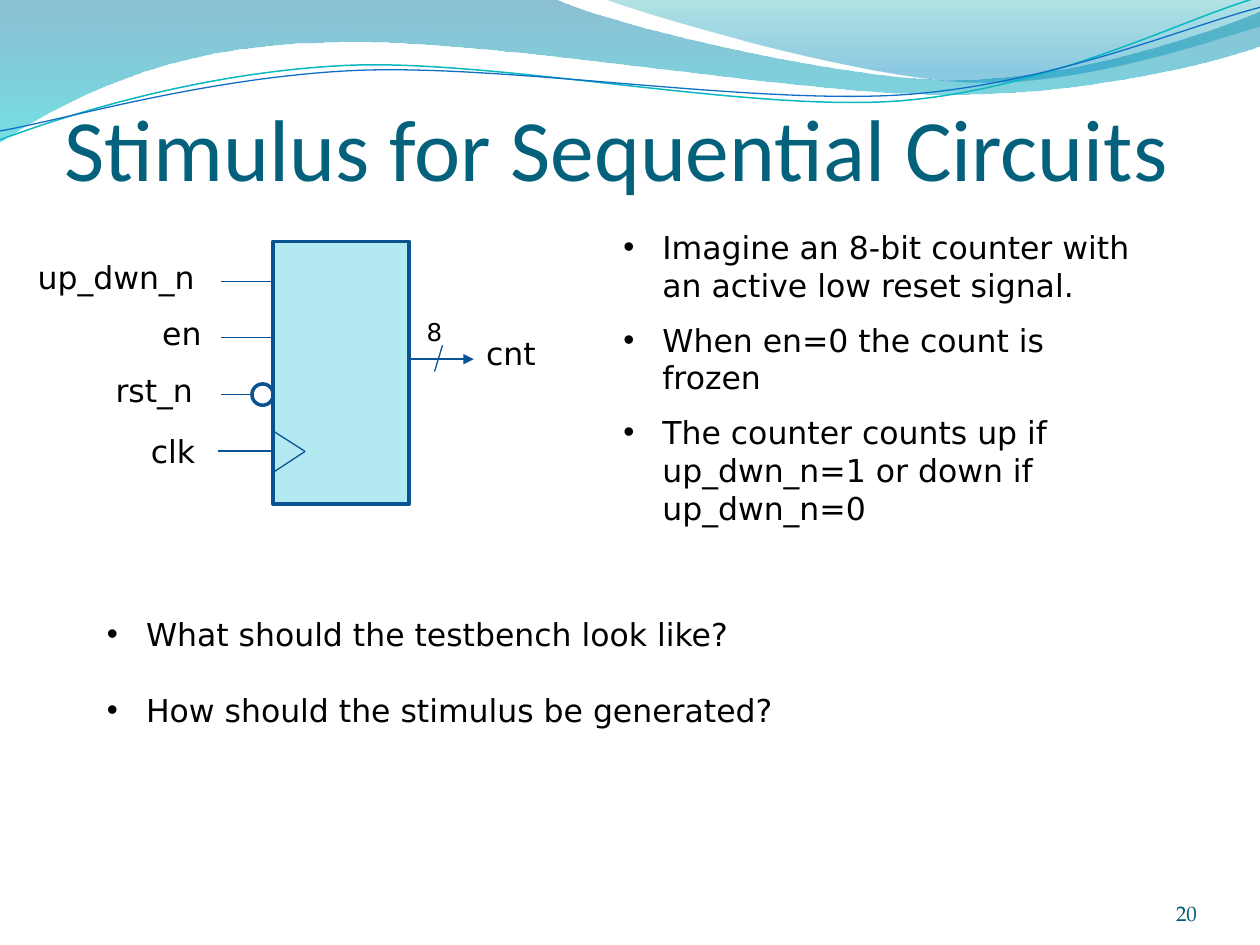
from dataclasses import dataclass

from lxml import etree
from pptx import Presentation
from pptx.dml.color import RGBColor
from pptx.enum import shapes, text
from pptx.oxml import ns
from pptx.util import Cm, Pt


@dataclass(frozen=True)
class Theme:
    sans: str = "DejaVu Sans"
    heading: str = "Calibri"
    serif: str = "TeX Gyre Pagella"
    ink: str = "000000"
    title: str = "04617B"
    number: str = "045C75"
    wire: str = "095295"
    outline: str = "0B5292"
    block: str = "B3EAF2"
    title_size: float = 50
    body_size: float = 18
    small_size: float = 14
    number_size: float = 12


THEME = Theme()

# A wave is a start point, then lines (x, y) and curves (x1, y1, x2, y2, x, y).
BROAD_WAVE = [
    (0, -0.03), (11.18, -0.03),
    (12.09, 0.43, 16.87, 1.6, 19.25, 1.6), (21.67, 1.6, 24.33, 0.66, 25.4, 0.23),
    (25.43, 0.91),
    (24.97, 1.12, 22.1, 1.93, 18.95, 1.9), (15.8, 1.9, 9.7, 0.71, 6.53, 0.86),
    (3.28, 0.89, 1.17, 2.11, -0.03, 2.87), (0, -0.03),
]
RIGHT_WAVE = [
    (12.17, -0.03),
    (12.93, 0.28, 17.32, 1.57, 19.53, 1.65), (21.74, 1.75, 24.41, 0.81, 25.4, 0.53),
    (25.4, 0), (12.17, -0.03),
]
WAVE_TILT = 357.3
TEAL_LINE = [
    (-0.05, 2.22),
    (1.19, 1.82, 4.02, 1.04, 7.05, 1.05), (10.05, 1.07, 15.02, 2.37, 18.08, 2.29),
    (21.13, 2.2, 23.87, 0.91, 25.41, 0.55),
]
BLUE_LINE = [
    (-0.04, 2.04),
    (1.16, 1.9, 4.18, 1.15, 7.2, 1.16), (10.25, 1.18, 15.13, 2.23, 18.18, 2.17),
    (21.21, 2.1, 23.93, 1.06, 25.45, 0.75),
]

# Input label, its left, top and width, then the wire's start, end and weight.
INPUTS = [
    ("up_dwn_n", 0.51, 5.08, 3.94, 4.45, 5.51, 0.75),
    ("en", 3.02, 6.21, 1.3, 4.45, 5.51, 0.75),
    ("rst_n", 2.08, 7.35, 2.18, 4.45, 5.08, 0.75),
    ("clk", 2.79, 8.59, 1.4, 4.39, 5.51, 1.5),
]
FIRST_INPUT, INPUT_PITCH = 5.67, 1.14

BEHAVIOUR = [
    "Imagine an 8-bit counter with an active low reset signal.",
    "When en=0 the count is frozen",
    "The counter counts up if up_dwn_n=1 or down if up_dwn_n=0",
]
QUESTIONS = [
    "What should the testbench look like?",
    "How should the stimulus be generated?",
]


def rgb(value):
    return RGBColor.from_string(value)


def add_span(para, words, size, color, face=THEME.sans):
    span = para.add_run()
    span.text = words
    span.font.name, span.font.size = face, Pt(size)
    span.font.color.rgb = rgb(color)


def place(box, left, top, width, height):
    box.left, box.top, box.width, box.height = map(Cm, (left, top, width, height))


def set_margins(frame, left, top, right, bottom):
    frame.margin_left, frame.margin_top = Cm(left), Cm(top)
    frame.margin_right, frame.margin_bottom = Cm(right), Cm(bottom)


def add_outline(page, points, closed):
    """Draw through all points, then join each curve's three into one Bezier."""
    start, *rest = [(Cm(x), Cm(y)) for point in points
                    for x, y in zip(point[::2], point[1::2])]
    builder = page.shapes.build_freeform(*start)
    builder.add_line_segments(rest, close=closed)
    outline = builder.convert_to_shape()
    outline.shadow.inherit = False
    segments = iter(list(outline.element.iter(ns.qn("a:lnTo"))))
    for point in points[1:]:
        first = next(segments)
        if len(point) == 6:
            first.tag = ns.qn("a:cubicBezTo")
            for _ in range(2):
                control = next(segments)
                first.append(control[0])
                control.getparent().remove(control)
    return outline


def add_wave(page, points, stops):
    """Fill a wave from top to bottom with (position, colour, opacity) stops."""
    wave = add_outline(page, points, True)
    wave.line.fill.background()
    wave.fill.gradient()
    wave.fill.gradient_angle = 270
    for stop, (position, color, _) in zip(wave.fill.gradient_stops, stops):
        stop.position = position
        stop.color.rgb = rgb(color)
    colors = wave.element.spPr.iter(ns.qn("a:srgbClr"))
    for color, (_, _, opacity) in zip(colors, stops):
        etree.SubElement(color, ns.qn("a:alpha"), val=str(opacity * 1000))


def add_wave_line(page, points, color, weight):
    line = add_outline(page, points, False)
    line.rotation = WAVE_TILT
    line.fill.background()
    line.line.color.rgb, line.line.width = rgb(color), Pt(weight)


def add_wire(page, x1, y1, x2, y2, weight=0.75, arrow=False):
    wire = page.shapes.add_connector(
        shapes.MSO_CONNECTOR.STRAIGHT, Cm(x1), Cm(y1), Cm(x2), Cm(y2))
    wire.line.color.rgb, wire.line.width = rgb(THEME.wire), Pt(weight)
    if arrow:
        outline = wire.element.spPr.find(ns.qn("a:ln"))
        etree.SubElement(outline, ns.qn("a:tailEnd"), type="triangle")
    etree.SubElement(wire.element.spPr, ns.qn("a:effectLst"))


def add_block(page, kind, left, top, width, height, fill=None):
    block = page.shapes.add_shape(kind, *map(Cm, (left, top, width, height)))
    block.shadow.inherit = False
    if fill:
        block.fill.solid()
        block.fill.fore_color.rgb = rgb(fill)
    else:
        block.fill.background()
    block.line.color.rgb, block.line.width = rgb(THEME.outline), Pt(2)


def add_label(page, words, left, top, width, height=1.02, size=THEME.body_size):
    box = page.shapes.add_textbox(*map(Cm, (left, top, width, height)))
    box.text_frame.word_wrap = False
    add_span(box.text_frame.paragraphs[0], words, size, THEME.ink)


def fill_title(box, words):
    place(box, 1.3, 0.84, 22.86, 3.18)
    frame = box.text_frame
    frame.auto_size = text.MSO_AUTO_SIZE.NONE
    frame.vertical_anchor = text.MSO_ANCHOR.BOTTOM
    set_margins(frame, 0, 0.13, 0, 0)
    para = frame.paragraphs[0]
    para.alignment = text.PP_ALIGN.LEFT
    add_span(para, words, THEME.title_size, THEME.title, THEME.heading)


def fill_list(box, items, gap):
    frame = box.text_frame
    frame.auto_size = text.MSO_AUTO_SIZE.NONE
    for index, item in enumerate(items):
        para = frame.add_paragraph() if index else frame.paragraphs[0]
        properties = para._p.get_or_add_pPr()
        properties.set("marL", str(Cm(0.79)))
        properties.set("indent", str(-Cm(0.79)))
        etree.SubElement(properties, ns.qn("a:buFont"), typeface="Arial")
        etree.SubElement(properties, ns.qn("a:buChar"), char="•")
        para.space_before = Pt(gap if index else 0)
        add_span(para, item, THEME.body_size, THEME.ink)


def add_page_number(page, number):
    box = page.shapes.add_textbox(Cm(22.02), Cm(17.65), Cm(2.11), Cm(1.02))
    frame = box.text_frame
    frame.word_wrap = True
    frame.vertical_anchor = text.MSO_ANCHOR.BOTTOM
    set_margins(frame, 0, 0, 0, 0)
    frame.paragraphs[0].alignment = text.PP_ALIGN.RIGHT
    add_span(frame.paragraphs[0], number, THEME.number_size, THEME.number, THEME.serif)


def add_counter(page):
    add_block(page, shapes.MSO_SHAPE.RECTANGLE, 5.5, 4.87, 2.75, 5.29, THEME.block)
    for index, (name, left, top, width, start, end, weight) in enumerate(INPUTS):
        y = FIRST_INPUT + index * INPUT_PITCH
        add_wire(page, end, y, start, y, weight)
        add_label(page, name, left, top, width)
    for edge in (8.69, 9.52):
        add_wire(page, 6.15, 9.1, 5.51, edge)
    add_block(page, shapes.MSO_SHAPE.OVAL, 5.08, 7.74, 0.43, 0.43)
    add_wire(page, 8.26, 7.24, 9.55, 7.24, 1.5, arrow=True)
    add_wire(page, 8.92, 6.96, 8.76, 7.49)
    add_label(page, "8", 8.35, 6.27, 0.84, 0.86, THEME.small_size)
    add_label(page, "cnt", 9.55, 6.6, 1.5)


def main():
    deck = Presentation()
    deck.slide_width, deck.slide_height = Cm(25.4), Cm(19.05)
    page = deck.slides.add_slide(deck.slide_layouts[3])
    title, behaviour, questions = page.placeholders
    add_wave(page, BROAD_WAVE, [(0, "0074A1", 45), (1, "00C6CF", 55)])
    add_wave(page, RIGHT_WAVE, [(0, "00A1A9", 30), (0.8, "008BBF", 45)])
    add_wave_line(page, TEAL_LINE, "0AB8BF", 0.85)
    add_wave_line(page, BLUE_LINE, "0F6FC6", 0.75)
    fill_title(title, "Stimulus for Sequential Circuits")
    add_counter(page)
    place(behaviour, 12.31, 4.47, 11, 6.32)
    fill_list(behaviour, BEHAVIOUR, 9.7)
    place(questions, 1.9, 12.27, 14.1, 2.57)
    fill_list(questions, QUESTIONS, 21.7)
    add_page_number(page, "20")
    deck.save("out.pptx")


if __name__ == "__main__":
    main()
